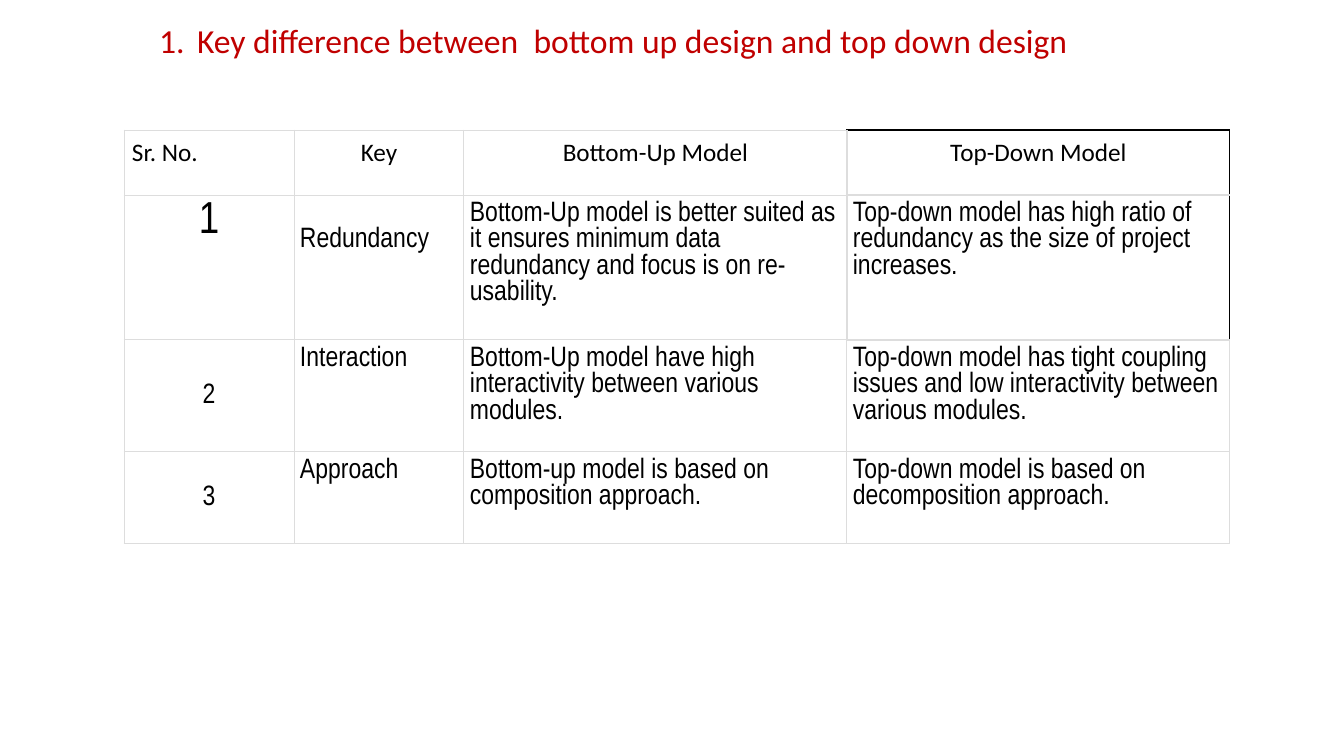
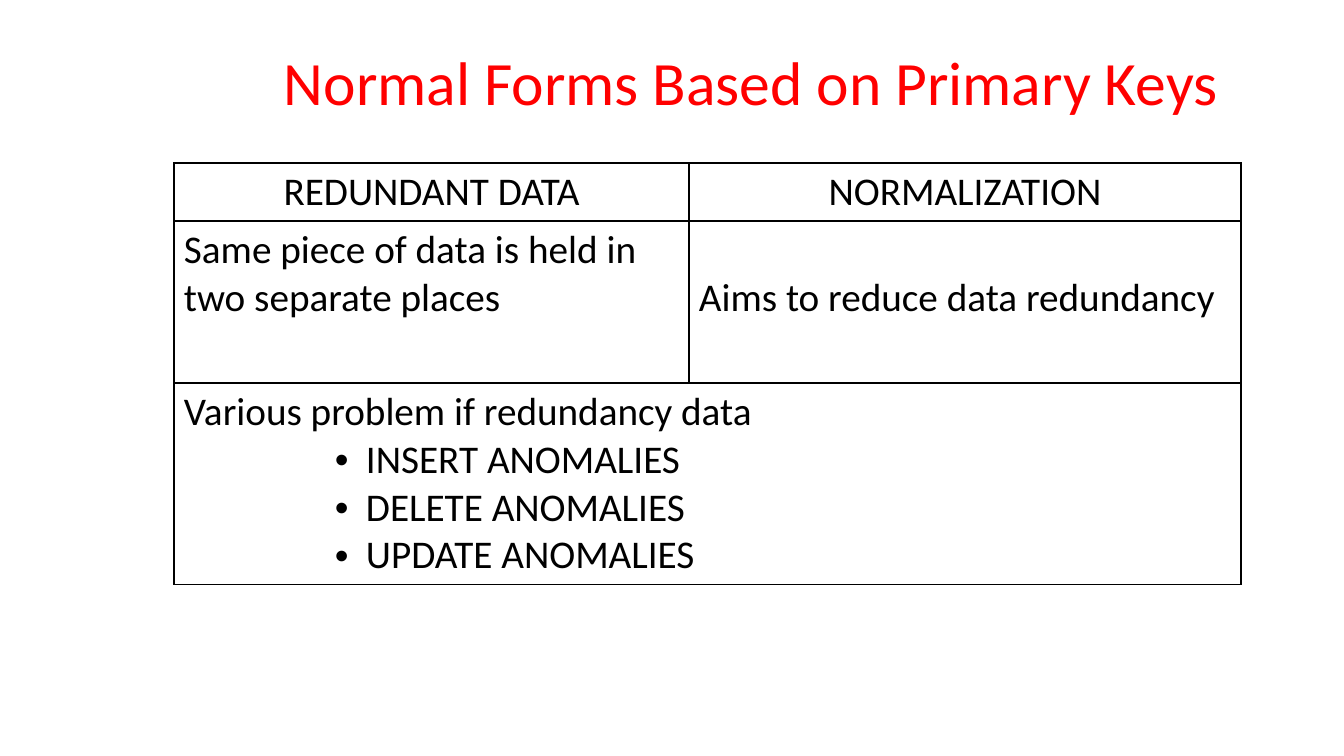
import lxml.etree
import pptx
import pptx.dml.color
import pptx.enum.text
import pptx.oxml.ns
import pptx.util

ALIGN = pptx.enum.text.PP_ALIGN
ANCHOR = pptx.enum.text.MSO_ANCHOR
EMU_PER_PX = 914400 / 100.8
BODY, NARROW = "Calibri", "Arial Narrow"
BLACK, WHITE, GREY = "000000", "FFFFFF", "DDDDDD"
DARK_RED, RED = "C00000", "FF0000"


def px(length):
    return pptx.util.Emu(round(length * EMU_PER_PX))


def color(value):
    return pptx.dml.color.RGBColor.from_string(value)


def add_xml(parent, tag, **attributes):
    return lxml.etree.SubElement(parent, pptx.oxml.ns.qn(tag), attributes)


def write(para, text, size, font=BODY, ink=BLACK, align=ALIGN.LEFT, spacing=1.0):
    para.alignment = align
    para.line_spacing = spacing
    span = para.add_run()
    span.text = text
    span.font.name = font
    span.font.size = pptx.util.Pt(size)
    span.font.bold = False
    span.font.color.rgb = color(ink)


def add_marker(para, tag, left, hanging, **attributes):
    """Give a paragraph a bullet or number with a hanging indent."""
    properties = para._p.get_or_add_pPr()
    properties.set("marL", str(px(left)))
    properties.set("indent", str(-px(hanging)))
    add_xml(properties, "a:buFont", typeface=BODY if tag == "a:buAutoNum" else "Arial")
    add_xml(properties, tag, **attributes)


def add_titled_page(deck, text, bounds, anchor, number=False, **style):
    page = deck.slides.add_slide(deck.slide_layouts[5])
    title = page.shapes.title
    title.left, title.top, title.width, title.height = map(px, bounds)
    frame = title.text_frame
    frame.auto_size = pptx.enum.text.MSO_AUTO_SIZE.NONE
    frame.word_wrap = True
    frame.vertical_anchor = anchor
    para = frame.paragraphs[0]
    if number:
        add_marker(para, "a:buAutoNum", 38, 38, type="arabicPeriod")
    write(para, text, **style)
    return page


def add_border(cell, width, left, right, top, bottom):
    properties = cell._tc.get_or_add_tcPr()
    for side, ink in zip("LRTB", (left, right, top, bottom)):
        line = add_xml(properties, f"a:ln{side}", w=str(pptx.util.Pt(width)))
        add_xml(add_xml(line, "a:solidFill"), "a:srgbClr", val=ink)


def add_plain_table(page, left, top, widths, heights):
    table = page.shapes.add_table(
        len(heights), len(widths), px(left), px(top),
        px(sum(widths)), px(sum(heights))).table
    table.first_row = table.horz_banding = False
    for column, width in zip(table.columns, widths):
        column.width = px(width)
    for row, height in zip(table.rows, heights):
        row.height = px(height)
    return table


def format_cell(cell, side, top, anchor=ANCHOR.TOP):
    cell.margin_left = cell.margin_right = px(side)
    cell.margin_top = px(top)
    cell.margin_bottom = px(min(side, top))
    cell.vertical_anchor = anchor
    cell.fill.solid()
    cell.fill.fore_color.rgb = color(WHITE)


def add_design_page(deck):
    page = add_titled_page(
        deck, "Key difference between  bottom up design and top down design",
        (149, 15, 1118, 92), ANCHOR.TOP, number=True, size=24, ink=DARK_RED)
    rows = [
        ("Sr. No.", "Key", "Bottom-Up Model", "Top-Down Model"),
        ("1", "Redundancy",
         "Bottom-Up model is better suited as it ensures minimum data "
         "redundancy and focus is on re-usability.",
         "Top-down model has high ratio of redundancy as the size of project increases."),
        ("2", "Interaction",
         "Bottom-Up model have high interactivity between various modules.",
         "Top-down model has tight coupling issues and low interactivity "
         "between various modules."),
        ("3", "Approach",
         "Bottom-up model is based on composition approach.",
         "Top-down model is based on decomposition approach."),
    ]
    table = add_plain_table(page, 124, 130, (170, 170, 383, 383), (65, 145, 112, 92))
    for r, texts in enumerate(rows):
        header = r == 0
        for c, text in enumerate(texts):
            cell = table.cell(r, c)
            last = c == len(texts) - 1
            add_border(cell, 1 if last and r < 2 else 0.75, GREY,
                       BLACK if last and r < 2 else GREY,
                       BLACK if last and header else GREY, GREY)
            margin = 8 if header else 6
            lowered = 26 if text == "Redundancy" else 0
            format_cell(cell, margin, margin + lowered,
                        ANCHOR.MIDDLE if c == 0 and r > 1 else ANCHOR.TOP)
            size = 18 if header else 32 if text == "1" else 20
            write(cell.text_frame.paragraphs[0], text, size,
                  font=BODY if header else NARROW,
                  align=ALIGN.CENTER if header == (c > 0) else ALIGN.LEFT)


def add_normal_forms_page(deck):
    page = add_titled_page(
        deck, "Normal Forms Based on Primary Keys", (172, 13, 1159, 146),
        ANCHOR.MIDDLE, size=44, ink=RED, align=ALIGN.CENTER, spacing=0.9)
    rows = [
        ("REDUNDANT DATA", "NORMALIZATION"),
        ("Same piece of data is held in two separate places",
         "Aims to reduce data redundancy"),
        ("Various problem if redundancy data",),
    ]
    table = add_plain_table(page, 174, 163, (515, 552), (58, 162, 201))
    for cell in table.iter_cells():
        add_border(cell, 1, BLACK, BLACK, BLACK, BLACK)
    problems = table.cell(2, 0)
    problems.merge(table.cell(2, 1))
    for r, texts in enumerate(rows):
        for c, text in enumerate(texts):
            cell = table.cell(r, c)
            format_cell(cell, 10, 53 if (r, c) == (1, 1) else 5)
            write(cell.text_frame.paragraphs[0], text, 28,
                  align=ALIGN.CENTER if r == 0 else ALIGN.LEFT)
    for action in ("INSERT", "DELETE", "UPDATE"):
        para = problems.text_frame.add_paragraph()
        para.level = 3
        add_marker(para, "a:buChar", 182, 31, char="•")
        write(para, f"{action} ANOMALIES", 28)


def main():
    deck = pptx.Presentation()
    deck.slide_width, deck.slide_height = px(1344), px(756)
    add_design_page(deck)
    add_normal_forms_page(deck)
    deck.save("out.pptx")


if __name__ == "__main__":
    main()
